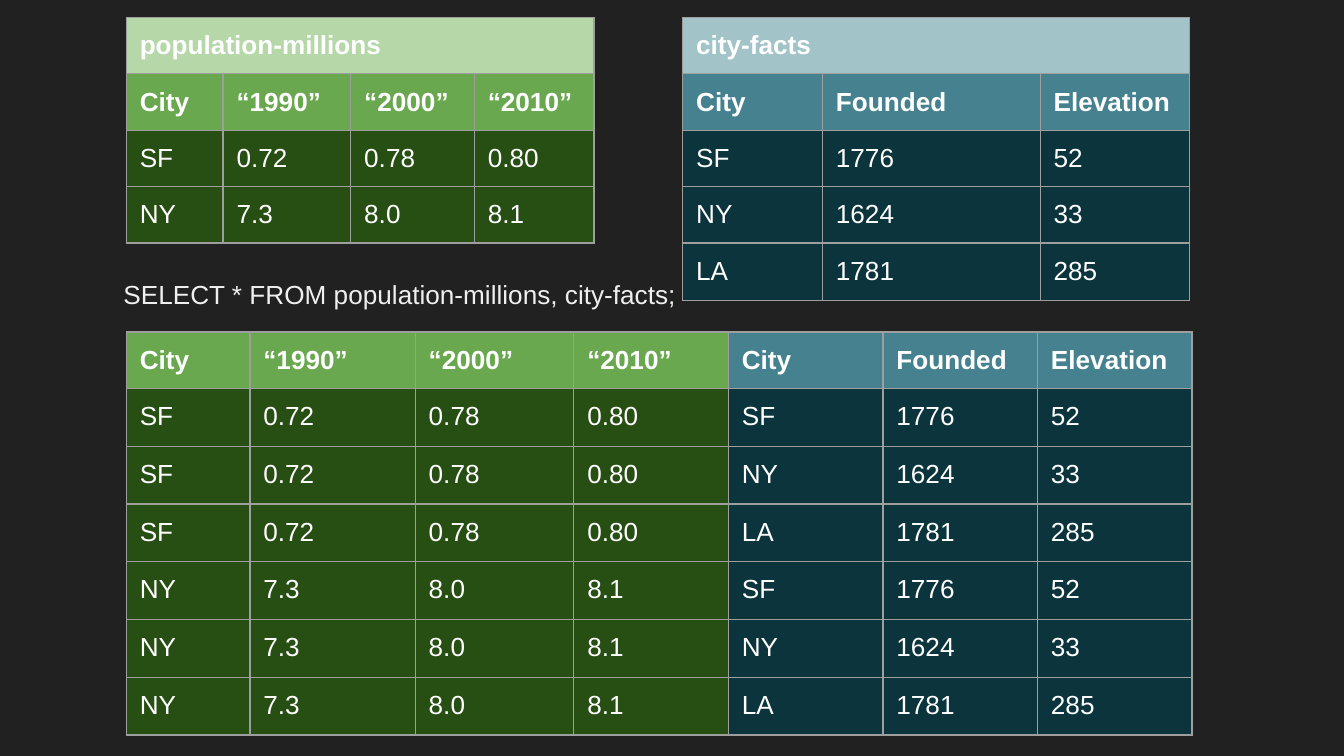
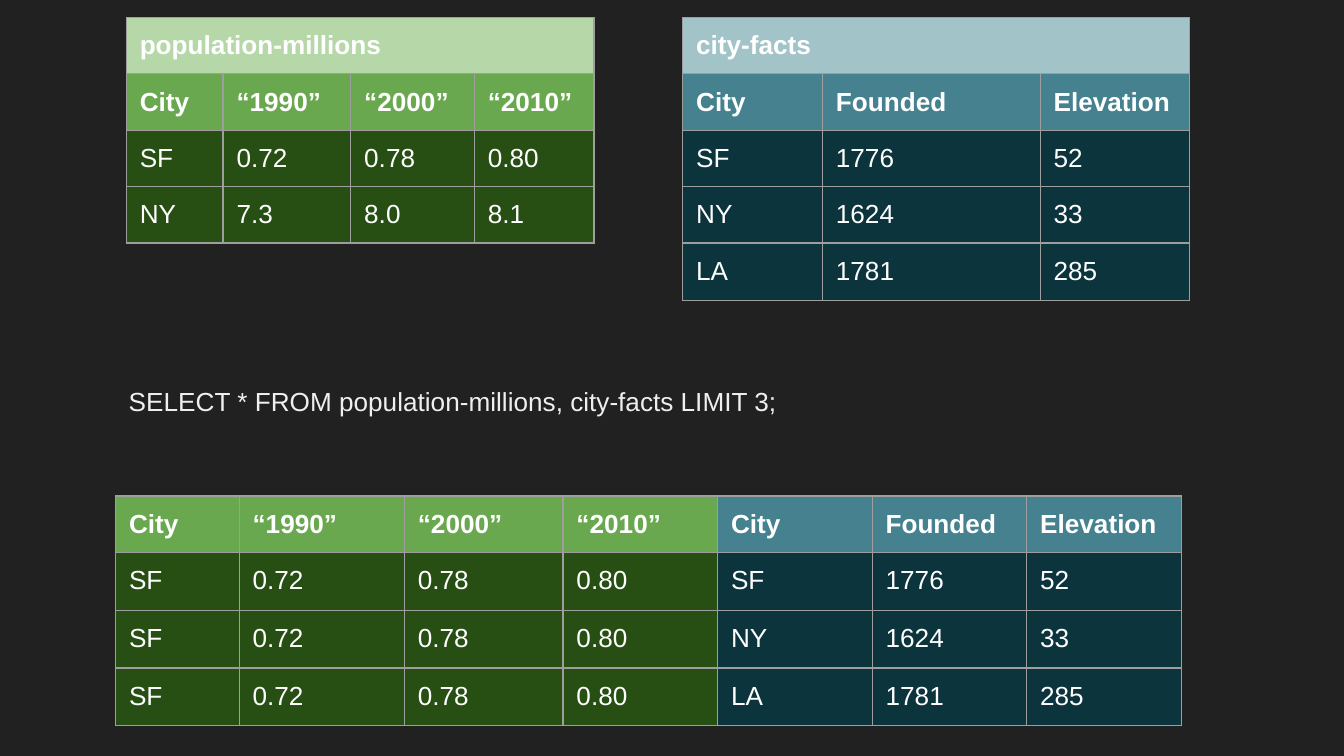
from itertools import product

from lxml.etree import SubElement as Sub
from pptx import Presentation
from pptx.dml.color import RGBColor as RGB
from pptx.oxml.ns import qn
from pptx.util import Inches, Pt

BACK = RGB(0x21, 0x21, 0x21)
WHITE = RGB(0xFF, 0xFF, 0xFF)
PALE = RGB(0xEF, 0xEF, 0xEF)
GRID = RGB(0x9E, 0x9E, 0x9E)
# Each palette holds the title, header and body fills
GREEN = RGB(0xB6, 0xD7, 0xA8), RGB(0x6A, 0xA8, 0x4F), RGB(0x27, 0x4E, 0x13)
TEAL = RGB(0xA2, 0xC4, 0xC9), RGB(0x45, 0x81, 0x8E), RGB(0x0C, 0x34, 0x3D)

POP_HEAD = ["City", "“1990”", "“2000”", "“2010”"]
POP = [["SF", "0.72", "0.78", "0.80"], ["NY", "7.3", "8.0", "8.1"]]
FACT_HEAD = ["City", "Founded", "Elevation"]
FACTS = [["SF", "1776", "52"], ["NY", "1624", "33"], ["LA", "1781", "285"]]
JOINED = [city + fact for city, fact in product(POP, FACTS)]

POP_COLS = [0.72, 0.95, 0.92, 0.89]
FACT_COLS = [1.04, 1.62, 1.11]
JOIN_COLS = [0.92, 1.23, 1.18] + [1.15] * 4
ROW, TALL = 0.42, 0.43


def style(para, color, bold=False):
    font = para.font
    font.name, font.size, font.bold = "Arial", Pt(14), bold
    font.color.rgb = color


def inset(box, base=0.1):
    box.margin_left = box.margin_right = box.margin_top = Inches(0.1)
    box.margin_bottom = Inches(base)


def border(cell):
    props = cell._tc.get_or_add_tcPr()
    for side in ("a:lnL", "a:lnR", "a:lnT", "a:lnB"):
        line = Sub(props, qn(side), w=str(Pt(0.75)))
        Sub(Sub(line, qn("a:solidFill")), qn("a:srgbClr"), val=str(GRID))


def add_grid(slide, left, top, cols, highs, rows, fills, bolds):
    """Draw rows of text; fills gives one list of colours per row."""
    table = slide.shapes.add_table(
        len(rows), len(cols), Inches(left), Inches(top),
        Inches(sum(cols)), Inches(sum(highs))).table
    table.first_row = table.horz_banding = False
    for col, wide in zip(table.columns, cols):
        col.width = Inches(wide)
    for r, (row, high) in enumerate(zip(rows, highs)):
        table.rows[r].height = Inches(high)
        for c, text in enumerate(row):
            cell = table.cell(r, c)
            inset(cell, 0.08)  # keeps the text from stretching the row
            border(cell)
            cell.fill.solid()
            cell.fill.fore_color.rgb = fills[r][c]
            cell.text = text
            style(cell.text_frame.paragraphs[0], WHITE, r < bolds)
    return table


def add_source(slide, left, top, name, cols, head, body, colors):
    """Draw a named table with its title across the top row."""
    wide = len(cols)
    rows = [[name] + [""] * (wide - 1), head, *body]
    highs = [ROW] * 4 + [TALL] * (len(rows) - 4)
    title, dark, base = colors
    fills = [[shade] * wide for shade in [title, dark] + [base] * len(body)]
    table = add_grid(slide, left, top, cols, highs, rows, fills, 2)
    table.cell(0, 0).merge(table.cell(0, wide - 1))


def add_result(slide, left, top, body):
    rows = [POP_HEAD + FACT_HEAD, *body]
    highs = [ROW] + [TALL] * len(body)
    shades = [1] + [2] * len(body)
    fills = [[GREEN[s]] * len(POP_HEAD) + [TEAL[s]] * len(FACT_HEAD)
             for s in shades]
    add_grid(slide, left, top, JOIN_COLS, highs, rows, fills, 1)


def add_query(slide, left, top, text):
    frame = slide.shapes.add_textbox(
        Inches(left), Inches(top), Inches(8), Inches(0.59)).text_frame
    frame.word_wrap = True
    inset(frame)
    frame.text = text
    style(frame.paragraphs[0], PALE)


def add_join(deck, query, query_at, body, body_at):
    """Add a slide with both sources, a query and its result."""
    slide = deck.slides.add_slide(deck.slide_layouts[6])
    slide.background.fill.solid()
    slide.background.fill.fore_color.rgb = BACK
    add_query(slide, *query_at, query)
    add_source(slide, 0.94, 0.13, "population-millions", POP_COLS,
               POP_HEAD, POP, GREEN)
    add_source(slide, 5.08, 0.13, "city-facts", FACT_COLS,
               FACT_HEAD, FACTS, TEAL)
    add_result(slide, *body_at, body)


def main():
    deck = Presentation()
    deck.slide_width = Inches(10)
    deck.slide_height = Inches(10) * 9 // 16
    query = "SELECT * FROM population-millions, city-facts"
    add_join(deck, query + ";", (0.82, 1.97), JOINED, (0.94, 2.47))
    add_join(deck, query + " LIMIT 3;", (0.86, 2.77), JOINED[:3], (0.86, 3.69))
    deck.save("out.pptx")


if __name__ == "__main__":
    main()
